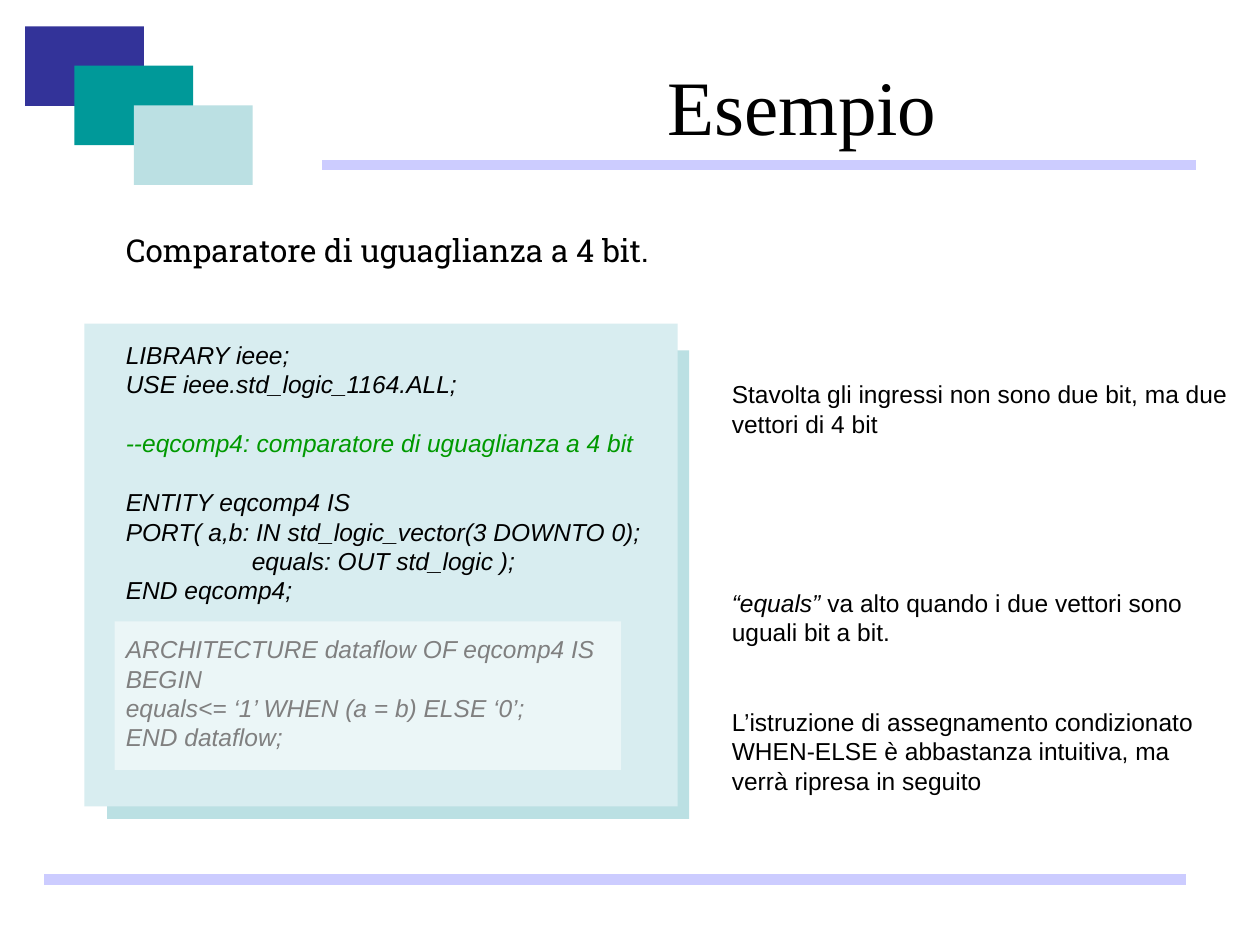
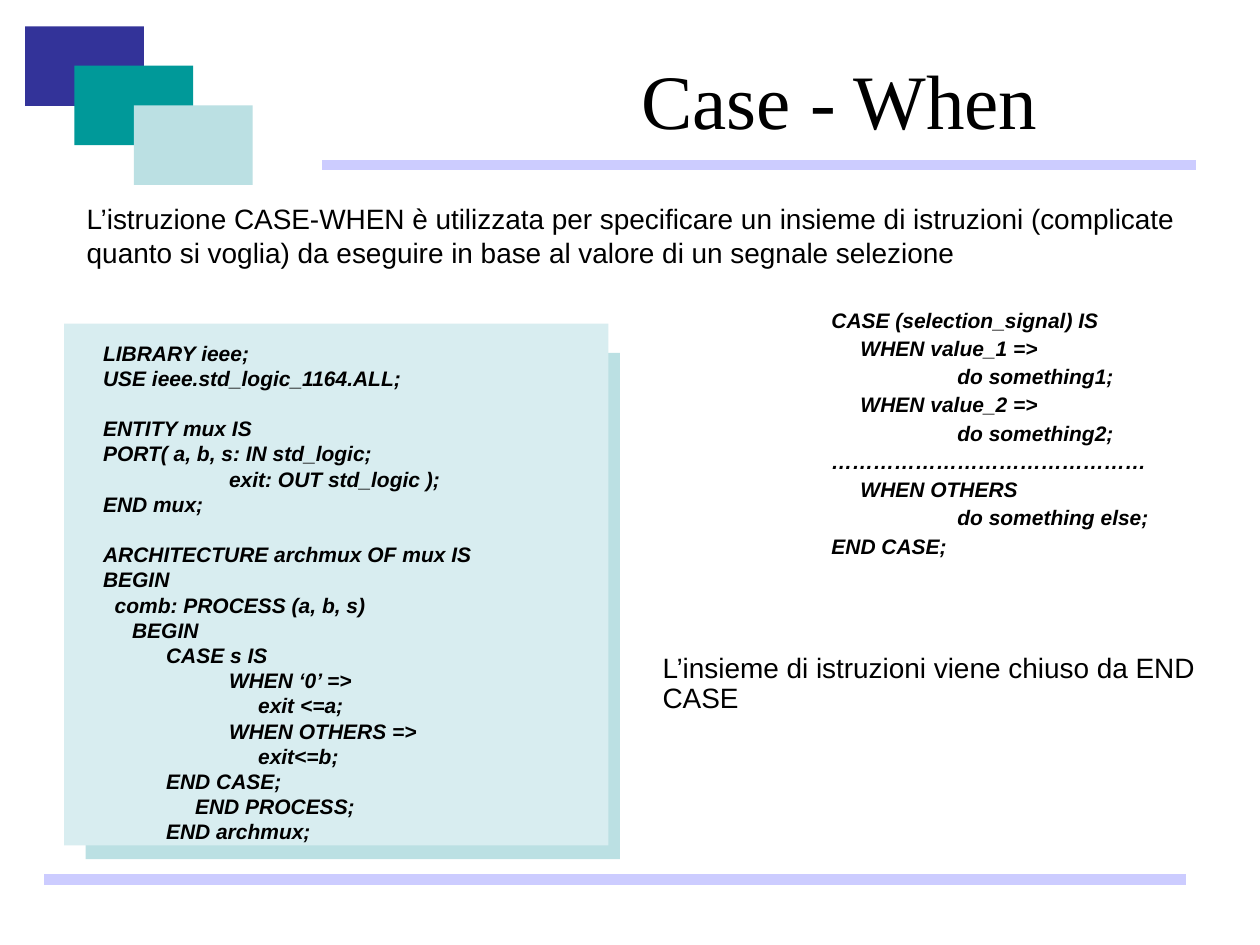
from dataclasses import dataclass

import lxml.etree
import pptx
import pptx.dml.color
import pptx.enum.shapes
import pptx.enum.text
import pptx.oxml.ns
import pptx.slide
import pptx.util

Pt = pptx.util.Pt
qn = pptx.oxml.ns.qn

COLORS = {
    "indigo": "333399",
    "teal": "009999",
    "aqua": "BBE0E3",
    "panel": "D8EDF0",
    "lavender": "CCCCFF",
    "comment": "009900",
    "black": "000000",
    "white": "FFFFFF",
}
LINE_FACTOR = 1.2
TAB_WIDTH = 72
CODE_INDENT = 36


@dataclass(frozen=True)
class Box:
    left: float
    top: float
    width: float
    height: float


@dataclass(frozen=True)
class Rule:
    left: float
    right: float
    y: float


@dataclass(frozen=True)
class Style:
    size: float
    font: str = "Arial"
    bold: bool = False
    italic: bool = False
    line: float | None = None
    before: float = 0
    centered: bool = False


@dataclass(frozen=True)
class Run:
    text: str
    color: str = "black"
    italic: bool | None = None


@dataclass(frozen=True)
class Line:
    runs: tuple[Run, ...]
    before: float | None = None
    indent: float = 0


SQUARES = (
    (Box(14.4, 15.1, 67.9, 45.4), "indigo"),
    (Box(42.5, 37.6, 67.9, 45.4), "teal"),
    (Box(76.5, 60.3, 67.9, 45.4), "aqua"),
)
RULES = (Rule(184.3, 683.3, 94.3), Rule(25.2, 677.5, 502.6))

TITLE = Style(44, font="Times New Roman", centered=True)
HEADING = Style(18, font="Roboto Slab")
INTRO = Style(16, line=16 * LINE_FACTOR)
CLOSING = Style(16, line=16 * LINE_FACTOR * 0.9)
NOTES = Style(14, line=14 * LINE_FACTOR, before=8.8)
CODE = Style(14, italic=True, line=14 * LINE_FACTOR)
SMALL_CODE = Style(12, bold=True, italic=True, line=12 * LINE_FACTOR)
SYNTAX = Style(12, bold=True, italic=True, line=12 * LINE_FACTOR * 0.6, before=7.5)

COMPARATOR_CODE = """\
LIBRARY ieee;
USE ieee.std_logic_1164.ALL;

--eqcomp4: comparatore di uguaglianza a 4 bit

ENTITY eqcomp4 IS
PORT( a,b: IN std_logic_vector(3 DOWNTO 0);
\tequals: OUT std_logic );
END eqcomp4;

ARCHITECTURE dataflow OF eqcomp4 IS
BEGIN
equals<= ‘1’ WHEN (a = b) ELSE ‘0’;
END dataflow;"""

MUX_HEAD = """\
LIBRARY ieee;
USE ieee.std_logic_1164.ALL;

ENTITY mux IS
PORT( a, b, s: IN std_logic;
\texit: OUT std_logic );
END mux;

ARCHITECTURE archmux OF mux IS
BEGIN
  comb: PROCESS (a, b, s)
     BEGIN"""

MUX_CASE = """\
CASE s IS
\tWHEN ‘0’ =>
\t     exit <=a;
\tWHEN OTHERS =>
\t     exit<=b;
END CASE;
     END PROCESS;
END archmux;"""

CASE_SYNTAX = """\
CASE (selection_signal) IS
     WHEN value_1 =>
\tdo something1;
     WHEN value_2 =>
\tdo something2;
………………………………………
     WHEN OTHERS
\tdo something else;
END CASE;"""


def rgb(name: str) -> pptx.dml.color.RGBColor:
    return pptx.dml.color.RGBColor.from_string(COLORS[name])


def plain(text: str, before: float | None = None) -> Line:
    return Line((Run(text),), before)


def code_lines(source: str, style: Style, indent: float = 0) -> list[Line]:
    """Turn source code into lines; an empty line becomes space before the next."""
    lines: list[Line] = []
    gap = style.before
    for text in source.splitlines():
        if not text:
            gap += style.line or 0
            continue
        color = "comment" if text.startswith("--") else "black"
        lines.append(Line((Run(text, color),), gap, indent))
        gap = style.before
    return lines


def add_rectangle(slide: pptx.slide.Slide, box: Box, color: str, opacity: int = 100) -> None:
    shape = slide.shapes.add_shape(
        pptx.enum.shapes.MSO_SHAPE.RECTANGLE,
        Pt(box.left), Pt(box.top), Pt(box.width), Pt(box.height))
    shape.shadow.inherit = False
    shape.line.fill.background()
    shape.fill.solid()
    shape.fill.fore_color.rgb = rgb(color)
    if opacity < 100:
        color_element = shape.fill._xPr.find(".//" + qn("a:srgbClr"))
        lxml.etree.SubElement(color_element, qn("a:alpha"), val=str(opacity * 1000))


def add_rule(slide: pptx.slide.Slide, rule: Rule) -> None:
    connector = slide.shapes.add_connector(
        pptx.enum.shapes.MSO_CONNECTOR.STRAIGHT,
        Pt(rule.left), Pt(rule.y), Pt(rule.right), Pt(rule.y))
    connector.line.color.rgb = rgb("lavender")
    connector.line.width = Pt(6)
    lxml.etree.SubElement(connector._element.spPr, qn("a:effectLst"))


def add_text(slide: pptx.slide.Slide, box: Box, style: Style, lines: list[Line]) -> None:
    shape = slide.shapes.add_textbox(
        Pt(box.left), Pt(box.top), Pt(box.width), Pt(box.height))
    frame = shape.text_frame
    frame.word_wrap = True
    if style.centered:
        frame.vertical_anchor = pptx.enum.text.MSO_ANCHOR.MIDDLE
    for index, line in enumerate(lines):
        paragraph = frame.add_paragraph() if index else frame.paragraphs[0]
        properties = paragraph._p.get_or_add_pPr()
        if line.indent:
            properties.set("marL", str(Pt(line.indent)))
            properties.set("indent", "0")
        if any("\t" in run.text for run in line.runs):
            tabs = lxml.etree.SubElement(properties, qn("a:tabLst"))
            lxml.etree.SubElement(tabs, qn("a:tab"), pos=str(Pt(TAB_WIDTH)), algn="l")
        if style.centered:
            paragraph.alignment = pptx.enum.text.PP_ALIGN.CENTER
        if style.line:
            paragraph.line_spacing = Pt(style.line)
        if index:
            paragraph.space_before = Pt(style.before if line.before is None else line.before)
        for part in line.runs:
            run = paragraph.add_run()
            run.text = part.text
            run.font.name = style.font
            run.font.size = Pt(style.size)
            run.font.bold = style.bold
            run.font.italic = style.italic if part.italic is None else part.italic
            run.font.color.rgb = rgb(part.color)


def add_base_slide(presentation, title: str, title_box: Box) -> pptx.slide.Slide:
    slide = presentation.slides.add_slide(presentation.slide_layouts[6])
    add_text(slide, title_box, TITLE, [plain(title)])
    for box, color in SQUARES:
        add_rectangle(slide, box, color)
    for rule in RULES:
        add_rule(slide, rule)
    return slide


def add_code_panel(slide: pptx.slide.Slide, back: Box, front: Box, text: Box,
                   style: Style, lines: list[Line]) -> None:
    add_rectangle(slide, back, "aqua")
    add_rectangle(slide, front, "panel")
    add_text(slide, text, style, lines)


def build_comparator_slide(presentation) -> None:
    slide = add_base_slide(presentation, "Esempio", Box(229.7, 25.9, 457.2, 67.7))
    add_text(slide, Box(64.8, 128.2, 640.8, 28.8), HEADING,
             [plain("Comparatore di uguaglianza a 4 bit.")])
    empty_line = NOTES.line + NOTES.before
    notes = [
        plain("Stavolta gli ingressi non sono due bit, ma due vettori di 4 bit"),
        Line((Run("“equals”", italic=True),
              Run(" va alto quando i due vettori sono uguali bit a bit.")),
             NOTES.before + 3 * empty_line),
        plain("L’istruzione di assegnamento condizionato WHEN-ELSE è abbastanza "
              "intuitiva, ma verrà ripresa in seguito", NOTES.before + empty_line),
    ]
    add_text(slide, Box(411.1, 213.1, 300.2, 244.8), NOTES, notes)
    add_code_panel(slide, Box(61.2, 200.2, 332.6, 267.8), Box(48.2, 185, 339.1, 275.8),
                   Box(64.8, 190.8, 317.5, 242.6), CODE, code_lines(COMPARATOR_CODE, CODE))
    add_rectangle(slide, Box(65.5, 355, 289.4, 85), "white", opacity=50)


def build_case_slide(presentation) -> None:
    slide = add_base_slide(presentation, "Case - When", Box(331.9, 25.9, 295.9, 61.2))
    add_text(slide, Box(42.5, 111.6, 640.8, 46.1), INTRO, [plain(
        "L’istruzione CASE-WHEN è utilizzata per specificare un insieme di istruzioni "
        "(complicate quanto si voglia) da eseguire in base al valore di un segnale selezione")])
    add_text(slide, Box(371.5, 370.1, 339.8, 41.8), CLOSING,
             [plain("L’insieme di istruzioni viene chiuso da END CASE")])
    lines = code_lines(MUX_HEAD, SMALL_CODE) + code_lines(MUX_CASE, SMALL_CODE, CODE_INDENT)
    add_code_panel(slide, Box(49, 201.6, 305.3, 289.4), Box(36.7, 185, 311, 298.1),
                   Box(51.8, 190.8, 291.6, 295.2), SMALL_CODE, lines)
    add_text(slide, Box(468, 177.8, 226.8, 145.4), SYNTAX, code_lines(CASE_SYNTAX, SYNTAX))


def main() -> None:
    presentation = pptx.Presentation()
    presentation.slide_width = Pt(720)
    presentation.slide_height = Pt(540)
    build_comparator_slide(presentation)
    build_case_slide(presentation)
    presentation.save("out.pptx")


if __name__ == "__main__":
    main()
